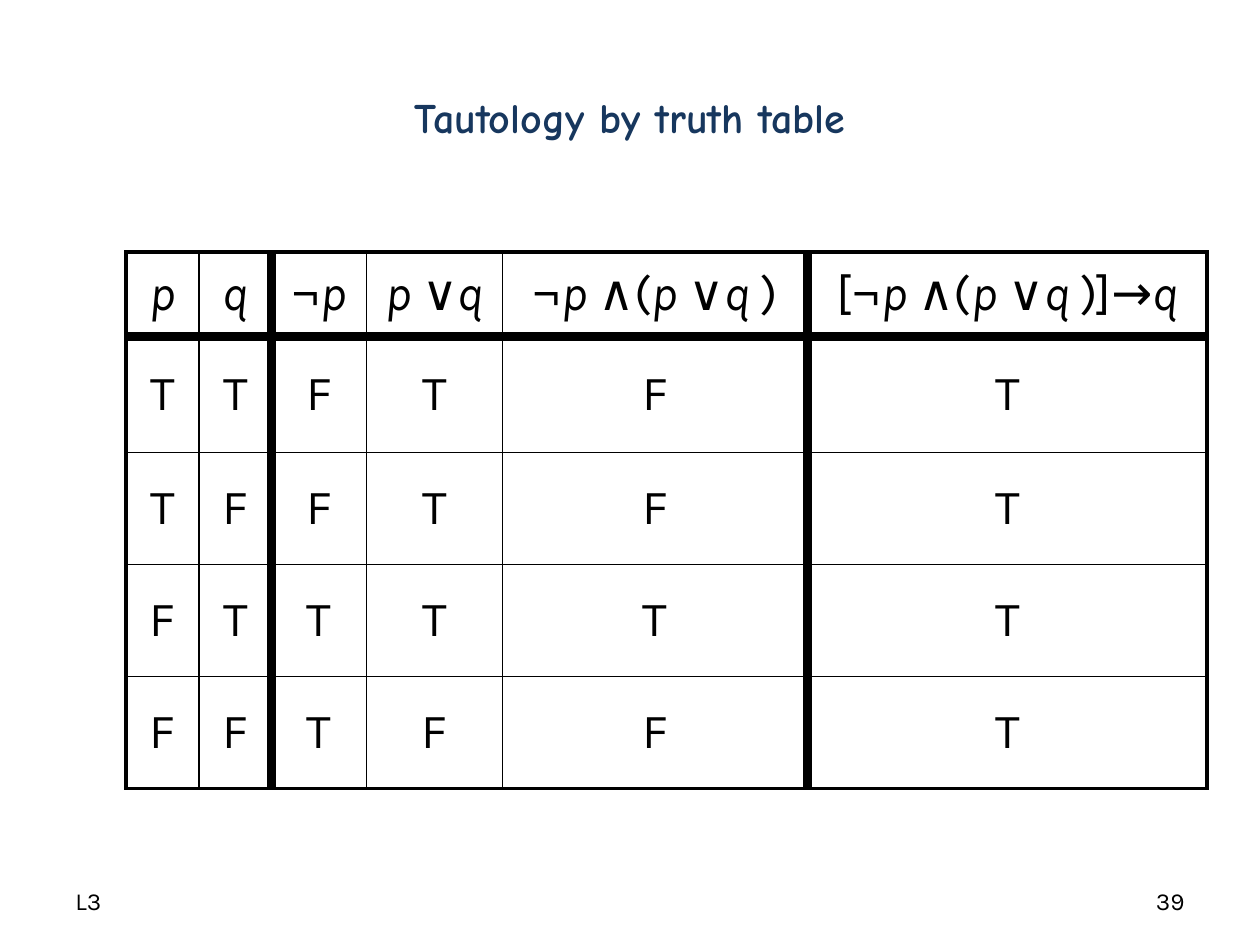
from itertools import groupby

from lxml import etree
from pptx import Presentation
from pptx.dml.color import RGBColor
from pptx.enum.text import MSO_ANCHOR, PP_ALIGN
from pptx.oxml.ns import qn
from pptx.util import Cm, Pt

MIDDLE = MSO_ANCHOR.MIDDLE
LEFT, CENTER, RIGHT = PP_ALIGN.LEFT, PP_ALIGN.CENTER, PP_ALIGN.RIGHT
BLACK = RGBColor(0x00, 0x00, 0x00)
NAVY = RGBColor(0x17, 0x37, 0x5E)

TITLE_FONT = {"name": "Comic Neue", "size": Pt(24), "bold": True}
FOOTER_FONT = {"name": "Karla", "size": Pt(14)}
SYMBOL_FONT = {"name": "Karla", "size": Pt(28), "bold": False, "italic": False}
VARIABLE_FONT = {**SYMBOL_FONT, "italic": True}
NEGATION_FONT = {"name": "Times New Roman", "size": Pt(28), "bold": True, "italic": True}
FORMULA_FONTS = {"variable": VARIABLE_FONT, "negation": NEGATION_FONT, "symbol": SYMBOL_FONT}

HEADERS = ["p", "q", "¬p", "p ∨q", "¬p ∧(p ∨q )", "[¬p ∧(p ∨q )]→q"]
TRUTH_ROWS = ["TTFTFT", "TFFTFT", "FTTTTT", "FFTFFT"]
COLUMN_WIDTHS = [1.47, 1.47, 1.91, 2.74, 6.15, 8.05]
ROW_HEIGHTS = [1.7, 2.34, 2.26, 2.26, 2.26]
VERTICAL_RULES = [2.25, 1, 6, 1, 1, 6, 2.25]
HORIZONTAL_RULES = [2.25, 6, 0.25, 1, 1, 2.25]


def add_span(para, text, font_values, color=BLACK):
    """Add a run of text with the given font values."""
    span = para.add_run()
    span.text = text
    for name, value in font_values.items():
        setattr(span.font, name, value)
    span.font.color.rgb = color


def symbol_kind(character):
    """Name the kind of formula character, which decides its font."""
    if character == "¬":
        return "negation"
    return "variable" if character in "pq " else "symbol"


def add_title(page, text):
    """Place and format the title placeholder."""
    title = page.shapes.title
    bounds = {"left": 1.27, "top": 0.76, "width": 22.86, "height": 3.18}
    for name, value in bounds.items():
        setattr(title, name, Cm(value))
    title.text_frame.vertical_anchor = MIDDLE
    para = title.text_frame.paragraphs[0]
    para.alignment = CENTER
    add_span(para, text, TITLE_FONT, NAVY)


def add_footer(page, text, left, alignment):
    """Add a small text box at the foot of the page."""
    box = page.shapes.add_textbox(Cm(left), Cm(17.65), Cm(5.92), Cm(1.02))
    box.text_frame.word_wrap = True
    box.text_frame.vertical_anchor = MIDDLE
    para = box.text_frame.paragraphs[0]
    para.alignment = alignment
    add_span(para, text, FOOTER_FONT)


def set_borders(cell, widths):
    """Draw the cell borders, given in points by side."""
    properties = cell._tc.get_or_add_tcPr()
    for index, (side, width) in enumerate(widths.items()):
        line = etree.Element(qn(f"a:ln{side}"), w=str(Pt(width)))
        fill = etree.SubElement(line, qn("a:solidFill"))
        etree.SubElement(fill, qn("a:srgbClr"), val=str(BLACK))
        properties.insert(index, line)


def fill_cell(cell, formula):
    """Write a formula in a cell, with one run for each kind of symbol."""
    cell.fill.background()
    cell.vertical_anchor = MIDDLE
    para = cell.text_frame.paragraphs[0]
    para.alignment = CENTER
    para.space_before = Pt(5.6)
    for kind, characters in groupby(formula, symbol_kind):
        add_span(para, "".join(characters), FORMULA_FONTS[kind])


def add_truth_table(page):
    """Add the truth table with its heavy dividing rules."""
    rows = [HEADERS, *TRUTH_ROWS]
    frame = page.shapes.add_table(
        len(rows), len(HEADERS), Cm(2.54), Cm(5.08),
        Cm(sum(COLUMN_WIDTHS)), Cm(sum(ROW_HEIGHTS)))
    table = frame.table
    table.first_row = False
    table.horz_banding = False
    for column, width in zip(table.columns, COLUMN_WIDTHS):
        column.width = Cm(width)
    for row, height in zip(table.rows, ROW_HEIGHTS):
        row.height = Cm(height)
    for r, formulas in enumerate(rows):
        for c, formula in enumerate(formulas):
            cell = table.cell(r, c)
            fill_cell(cell, formula)
            set_borders(cell, {
                "L": VERTICAL_RULES[c], "R": VERTICAL_RULES[c + 1],
                "T": HORIZONTAL_RULES[r], "B": HORIZONTAL_RULES[r + 1]})


def main():
    """Build the deck and save it."""
    deck = Presentation()
    deck.slide_width, deck.slide_height = Cm(25.4), Cm(19.05)
    page = deck.slides.add_slide(deck.slide_layouts[5])
    add_footer(page, "L3", 1.27, LEFT)
    add_footer(page, "39", 18.21, RIGHT)
    add_title(page, "Tautology by truth table")
    add_truth_table(page)
    deck.save("out.pptx")


main()
